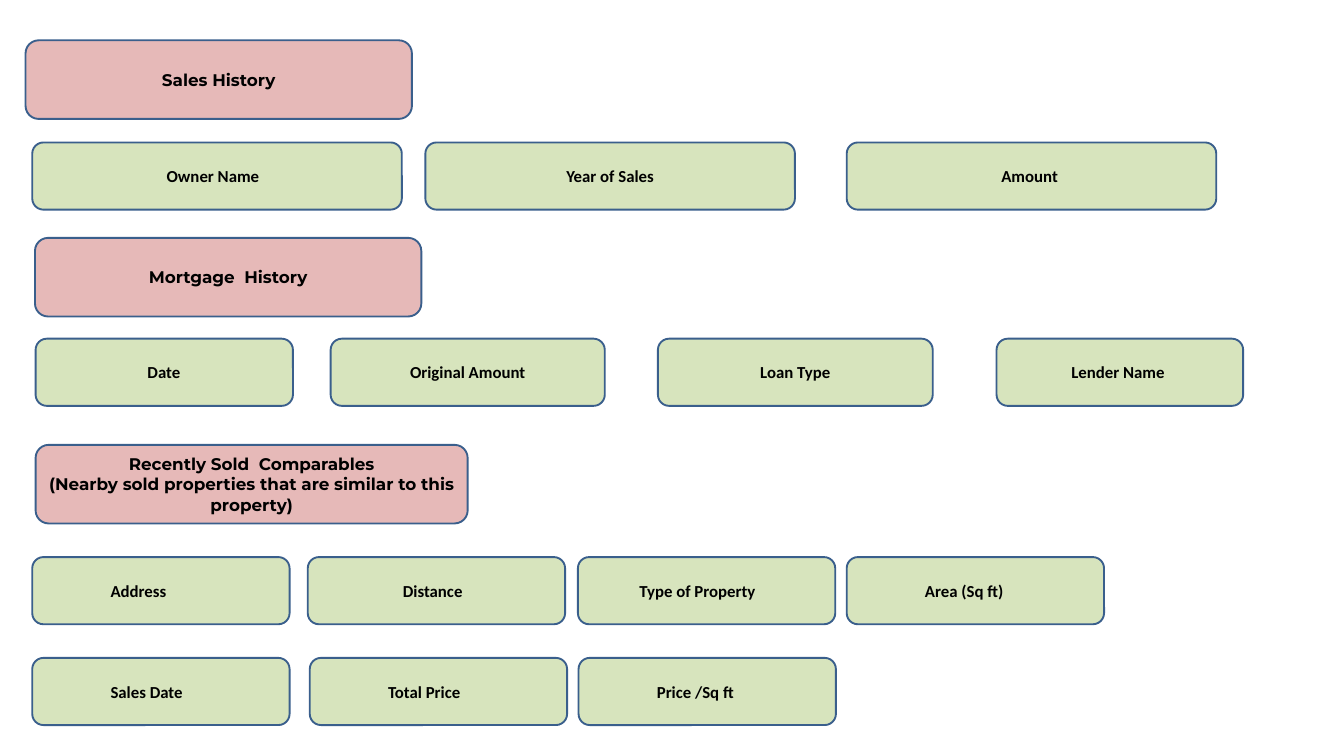
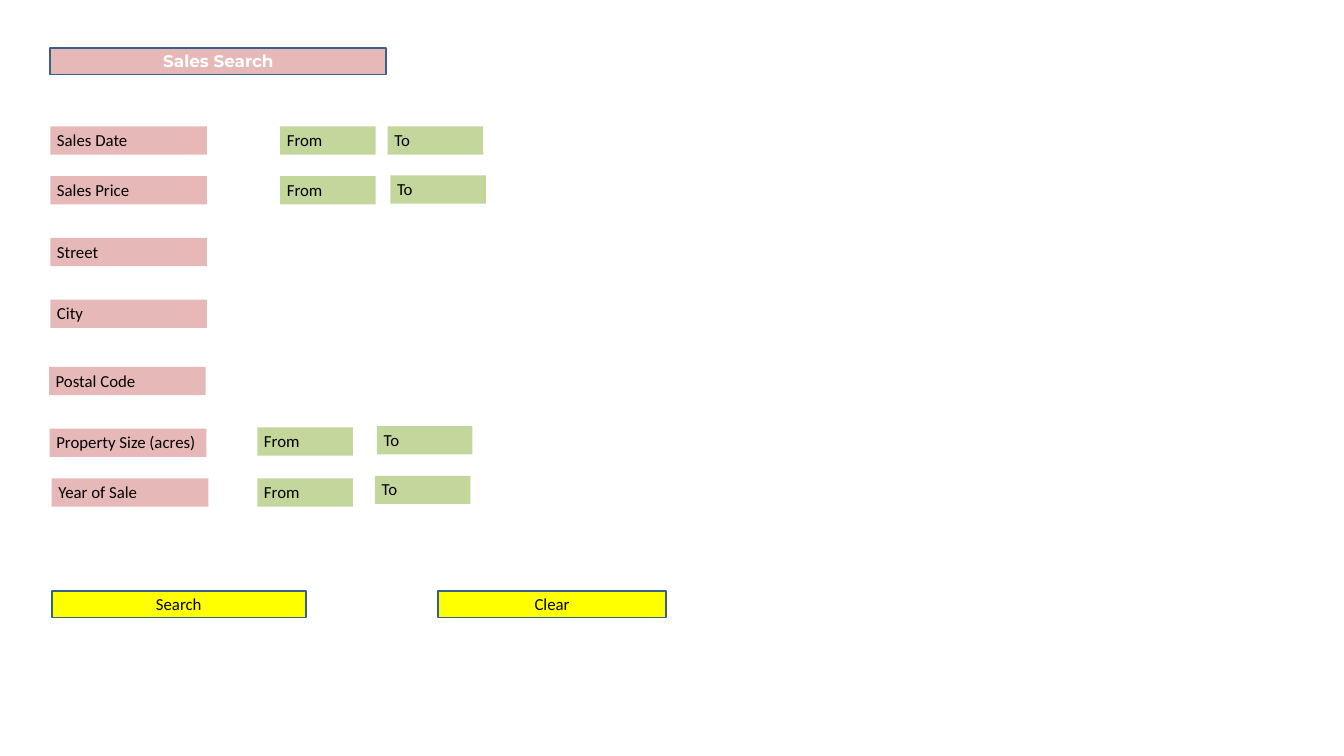
"""Build two property slides: history fields and a sales search form."""
from pptx import Presentation
from pptx.dml.color import RGBColor
from pptx.enum.shapes import MSO_SHAPE
from pptx.enum.text import MSO_ANCHOR, MSO_AUTO_SIZE, PP_ALIGN
from pptx.util import Inches, Pt

PINK = RGBColor(0xE6, 0xB9, 0xB8)
PALE = RGBColor(0xD7, 0xE4, 0xBD)
GREEN = RGBColor(0xC3, 0xD6, 0x9B)
YELLOW = RGBColor(0xFF, 0xFF, 0x00)
BLUE = RGBColor(0x3A, 0x5F, 0x8C)
BLACK = RGBColor(0x00, 0x00, 0x00)
WHITE = RGBColor(0xFF, 0xFF, 0xFF)
HEAD, BODY = "Montserrat", "Calibri"
ROUND, RECT = MSO_SHAPE.ROUNDED_RECTANGLE, MSO_SHAPE.RECTANGLE


def write(frame, lines, font, color, bold, align):
    frame.word_wrap = True
    for i, line in enumerate(lines):
        para = frame.paragraphs[0] if i == 0 else frame.add_paragraph()
        para.alignment = align
        run = para.add_run()
        run.text = line
        run.font.name = font
        run.font.size = Pt(18)
        run.font.bold = bold
        run.font.color.rgb = color


def add_box(slide, kind, place, fill, lines, font=BODY, color=BLACK, bold=True):
    box = slide.shapes.add_shape(kind, *map(Inches, place))
    box.shadow.inherit = False
    box.fill.solid()
    box.fill.fore_color.rgb = fill
    box.line.color.rgb = BLUE
    box.line.width = Pt(2)
    box.text_frame.vertical_anchor = MSO_ANCHOR.MIDDLE
    write(box.text_frame, lines, font, color, bold, PP_ALIGN.CENTER)


deck = Presentation()
deck.slide_width, deck.slide_height = Inches(20), Inches(11.25)
blank = deck.slide_layouts[6]

history = deck.slides.add_slide(blank)
heads = [
    (0.38, 0.6, 5.75, ["Sales History"]),
    (0.52, 3.54, 5.75, ["Mortgage  History"]),
    (0.53, 6.62, 6.43, ["Recently Sold  Comparables",
                        "(Nearby sold properties that are similar to this property)"]),
]
for left, top, width, lines in heads:
    add_box(history, ROUND, (left, top, width, 1.17), PINK, lines, HEAD)

WIDE, SLIM = 5.5, 3.83
rows = [
    (2.12, [(0.48, WIDE, "Owner Name\t"), (6.33, WIDE, "Year of Sales"),
            (12.6, WIDE, "Amount ")]),
    (5.04, [(0.53, SLIM, "Date\t"), (4.92, 4.08, "Original Amount"),
            (9.79, 4.09, "Loan Type"), (14.83, 3.67, "Lender Name ")]),
    (8.29, [(0.48, SLIM, "Address\t\t"), (4.58, SLIM, "Distance\t"),
            (8.6, SLIM, "Type of Property\t"), (12.6, SLIM, "Area (Sq ft)\t")]),
    (9.79, [(0.48, SLIM, "Sales Date\t"), (4.61, SLIM, "Total Price\t"),
            (8.61, SLIM, "Price /Sq ft\t")]),
]
for top, cells in rows:
    for left, width, label in cells:
        add_box(history, ROUND, (left, top, width, 1), PALE, [label])

search = deck.slides.add_slide(blank)
add_box(search, RECT, (0.75, 0.71, 5, 0.4), PINK, ["Sales Search"], HEAD, WHITE)

fields = [
    ("Sales Date", 0.75, 1.88, [("From", 4.17, 1.88), ("To", 5.77, 1.88)]),
    ("Sales Price", 0.75, 2.62, [("From", 4.17, 2.62), ("To", 5.81, 2.61)]),
    ("Street", 0.75, 3.54, []),
    ("City", 0.75, 4.46, []),
    ("Postal Code", 0.73, 5.46, []),
    ("Property Size (acres)", 0.74, 6.38, [("From", 3.83, 6.36), ("To", 5.61, 6.34)]),
    ("Year of Sale", 0.77, 7.12, [("From", 3.83, 7.12), ("To", 5.58, 7.08)]),
]
for name, x, y, limits in fields:
    tags = [(name, x, y, 2.33, PINK)]
    tags += [(*limit, 1.42, GREEN) for limit in limits]
    for label, left, top, width, fill in tags:
        tag = search.shapes.add_textbox(*map(Inches, (left, top, width, 0.42)))
        tag.fill.solid()
        tag.fill.fore_color.rgb = fill
        tag.text_frame.auto_size = MSO_AUTO_SIZE.SHAPE_TO_FIT_TEXT
        write(tag.text_frame, [label], BODY, BLACK, False, PP_ALIGN.LEFT)

for label, left, width in [("Search", 0.77, 3.78), ("Clear", 6.52, 3.39)]:
    add_box(search, RECT, (left, 8.79, width, 0.4), YELLOW, [label], bold=False)

deck.save("out.pptx")
